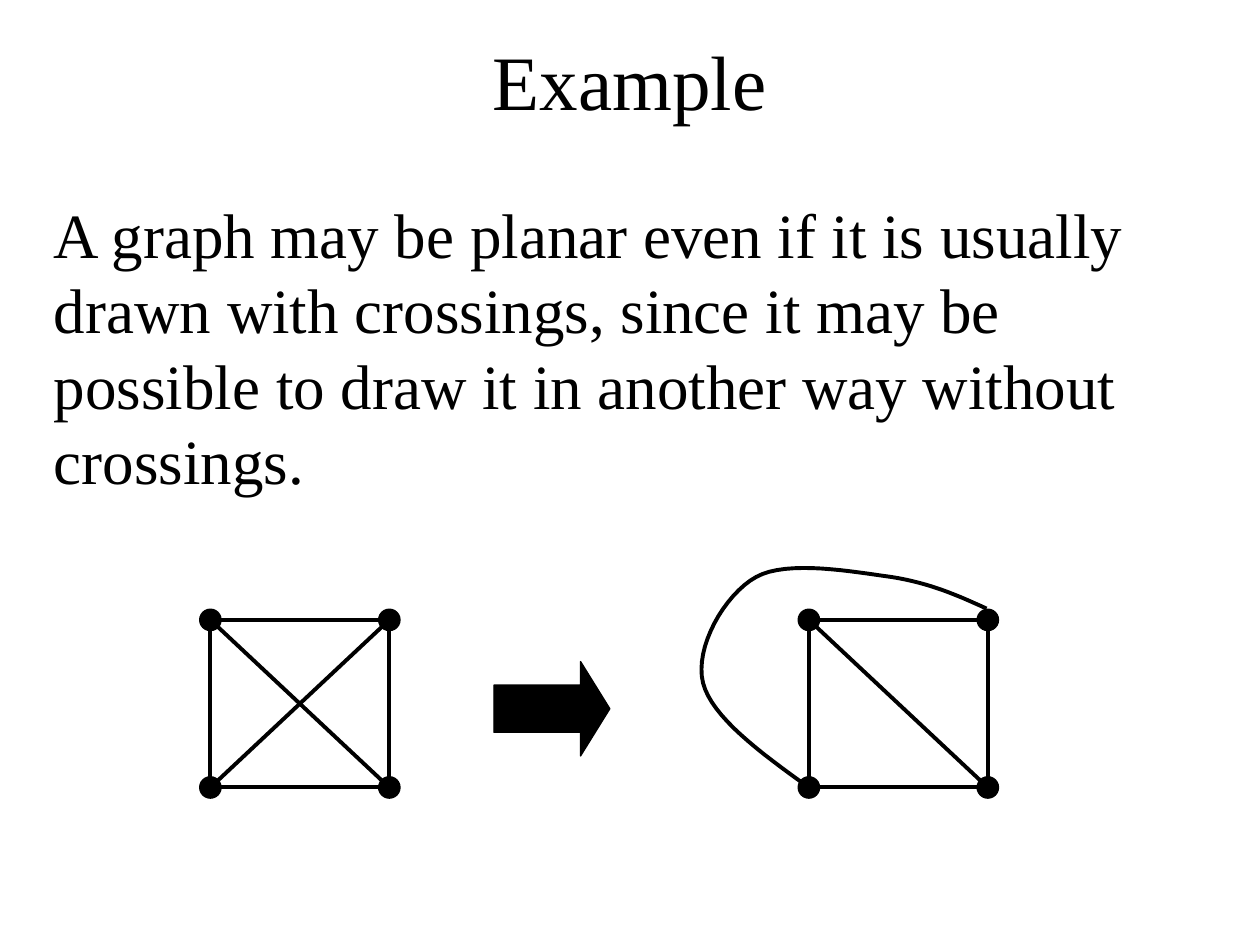
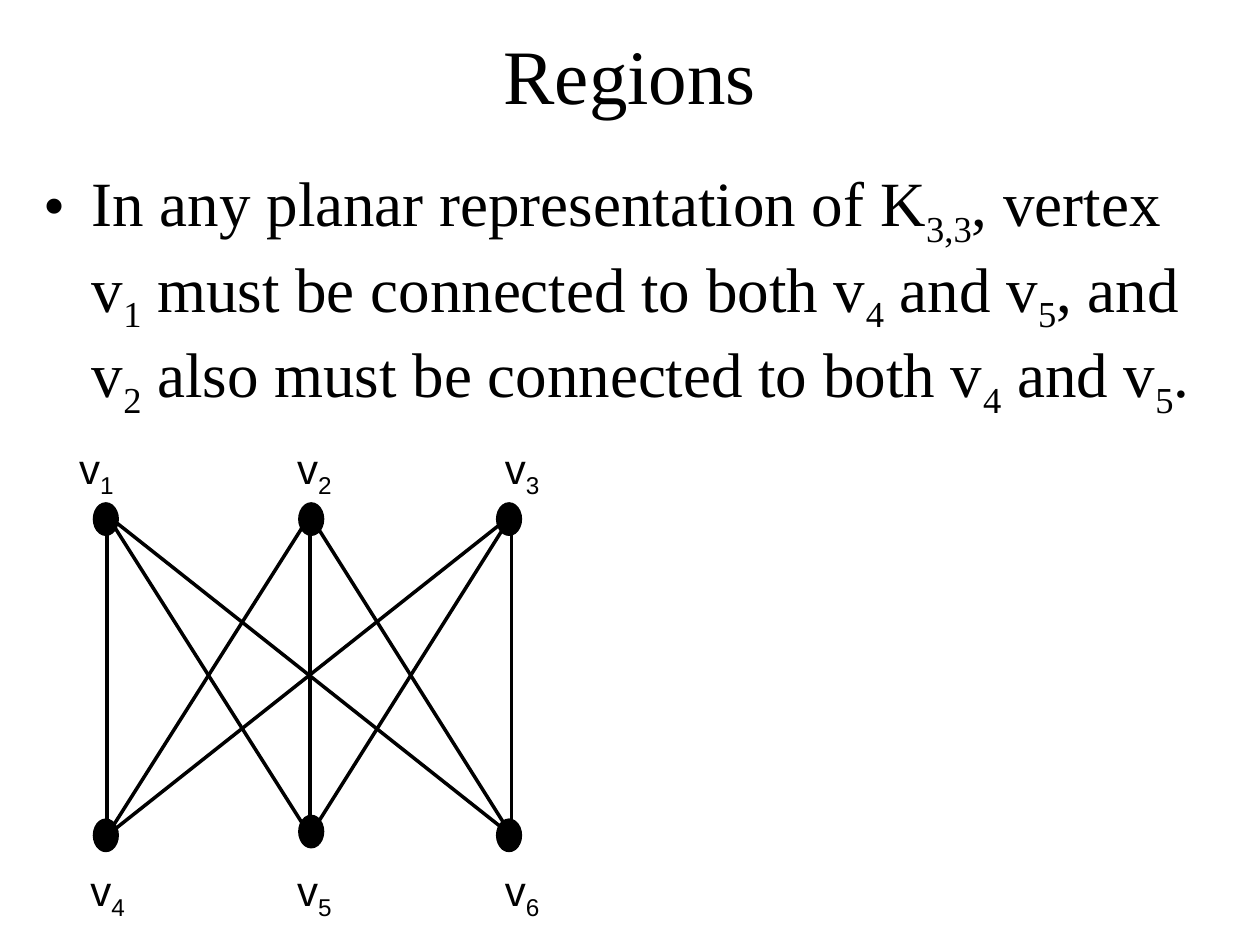
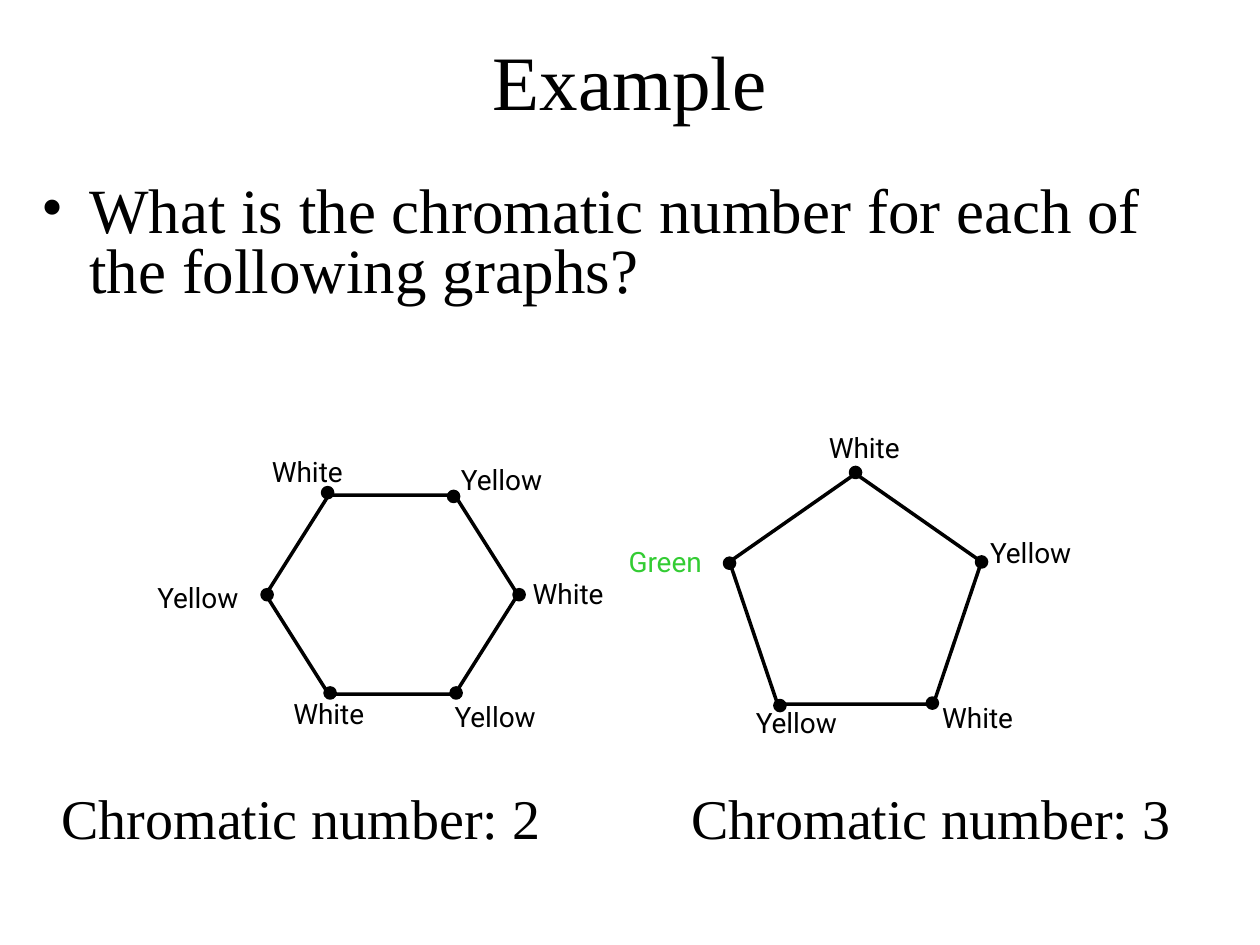
"""Build three slides about planar graphs, regions and graph colouring."""
from dataclasses import dataclass
from itertools import product

from lxml.etree import SubElement
from pptx import Presentation
from pptx.dml.color import RGBColor
from pptx.enum.shapes import MSO_CONNECTOR, MSO_SHAPE
from pptx.enum.text import MSO_ANCHOR, PP_ALIGN
from pptx.oxml.ns import qn
from pptx.util import Inches, Pt

COLORS = {"ink": "000000", "green": "33CC33"}
SERIF, SANS, LABEL = "Times New Roman", "Arial", "Roboto"
Point = tuple[float, float]


@dataclass
class Text:
    """A text box; pieces between bars are set as subscripts."""
    text: str
    x: float
    y: float
    w: float
    h: float
    size: float
    font: str = SERIF
    color: str = "ink"
    wrap: bool = True
    bullet: bool = False
    inset: float = 0.1
    spacing: float | None = None
    title: bool = False


@dataclass
class Shape:
    """A preset shape with its outline width and optional fill."""
    kind: MSO_SHAPE
    x: float
    y: float
    w: float
    h: float
    line: float
    filled: bool = False
    adjust: tuple[float, ...] = ()


def rgb(name: str) -> RGBColor:
    return RGBColor.from_string(COLORS[name])


def add_bullet(p) -> None:
    pPr = p._p.get_or_add_pPr()
    pPr.set("marL", str(Inches(0.38)))
    pPr.set("indent", str(Inches(-0.38)))
    clr = SubElement(pPr, qn("a:buClr"))
    SubElement(clr, qn("a:srgbClr")).set("val", COLORS["ink"])
    SubElement(pPr, qn("a:buFont")).set("typeface", SERIF)
    SubElement(pPr, qn("a:buChar")).set("char", "•")


def add_text(s, t: Text) -> None:
    sp = s.shapes.add_textbox(Inches(t.x), Inches(t.y), Inches(t.w), Inches(t.h))
    tf = sp.text_frame
    tf.word_wrap = t.wrap
    tf.margin_left = tf.margin_right = Inches(t.inset)
    p = tf.paragraphs[0]
    if t.title:
        tf.vertical_anchor = MSO_ANCHOR.MIDDLE
        p.alignment = PP_ALIGN.CENTER
    if t.bullet:
        add_bullet(p)
    if t.spacing:
        p.line_spacing = t.spacing
    for i, piece in enumerate(t.text.split("|")):
        if not piece:
            continue
        r = p.add_run()
        r.text = piece
        r.font.name, r.font.size = t.font, Pt(t.size)
        r.font.color.rgb = rgb(t.color)
        if i % 2:
            r._r.get_or_add_rPr().set("baseline", "-25000")


def add_title(s, text: str, h: float = 0.92) -> None:
    add_text(s, Text(text, 0.5, 0.17, 9, h, 44, title=True))


def style(sp, line: float, filled: bool = False) -> None:
    sp.shadow.inherit = False
    if filled:
        sp.fill.solid()
        sp.fill.fore_color.rgb = rgb("ink")
    else:
        sp.fill.background()
    sp.line.color.rgb = rgb("ink")
    sp.line.width = Pt(line)


def add_shape(s, d: Shape) -> None:
    sp = s.shapes.add_shape(d.kind, Inches(d.x), Inches(d.y), Inches(d.w), Inches(d.h))
    style(sp, d.line, d.filled)
    for i, value in enumerate(d.adjust):
        sp.adjustments[i] = value


def add_node(s, x: float, y: float, w: float, h: float, line: float) -> None:
    add_shape(s, Shape(MSO_SHAPE.OVAL, x, y, w, h, line, True))


def add_edge(s, start: Point, end: Point, width: float) -> None:
    cn = s.shapes.add_connector(MSO_CONNECTOR.STRAIGHT, *map(Inches, start + end))
    cn.line.color.rgb = rgb("ink")
    cn.line.width = Pt(width)
    SubElement(cn._element.spPr, qn("a:effectLst"))


def bezier(a: Point, b: Point, c: Point, d: Point, steps: int = 16) -> list[Point]:
    points = []
    for i in range(1, steps + 1):
        t = i / steps
        u = 1 - t
        weights = (u**3, 3 * u * u * t, 3 * u * t * t, t**3)
        points.append(tuple(sum(k * q[n] for k, q in zip(weights, (a, b, c, d)))
                            for n in (0, 1)))
    return points


def add_curve(s, controls: list[Point], width: float) -> None:
    points = [controls[0]]
    for i in range(0, len(controls) - 1, 3):
        points += bezier(*controls[i:i + 4])
    emu = [(Inches(x), Inches(y)) for x, y in points]
    builder = s.shapes.build_freeform(*emu[0], scale=1.0)
    builder.add_line_segments(emu[1:], close=False)
    style(builder.convert_to_shape(), width)


def add_square_graph(s, x: float, crossed: bool) -> None:
    y, w, h, node = 4.92, 1.42, 1.33, 0.17
    add_shape(s, Shape(MSO_SHAPE.RECTANGLE, x, y, w, h, 2.25))
    add_edge(s, (x, y), (x + w, y + h), 2.25)
    if crossed:
        add_edge(s, (x, y + h), (x + w, y), 2.25)
    for cx, cy in product((x, x + w), (y, y + h)):
        add_node(s, cx - node / 2, cy - node / 2, node, node, 0.75)


def planar_slide(s) -> None:
    add_title(s, "Example")
    add_square_graph(s, 1.67, True)
    add_square_graph(s, 6.42, False)
    add_curve(s, [(7.83, 4.83), (7.61, 4.73), (7.39, 4.63), (7.08, 4.58),
                  (6.78, 4.54), (6.25, 4.44), (6, 4.58),
                  (5.75, 4.72), (5.51, 5.14), (5.58, 5.42),
                  (5.65, 5.69), (6.03, 5.97), (6.42, 6.25)], 2.25)
    add_shape(s, Shape(MSO_SHAPE.RIGHT_ARROW, 3.92, 5.25, 0.92, 0.75, 0.75, True,
                       (0.5, 0.31)))
    add_text(s, Text("A graph may be planar even if it is usually drawn with crossings, "
                     "since it may be possible to draw it in another way without "
                     "crossings.", 0.33, 1.5, 9.25, 2.5, 36, spacing=Pt(43.2)))


def regions_slide(s) -> None:
    add_title(s, "Regions", 0.83)
    add_text(s, Text("In any planar representation of K|3,3|, vertex v|1| must be connected "
                     "to both v|4| and v|5|, and v|2| also must be connected to both "
                     "v|4| and v|5|.", 0.25, 1.25, 9.42, 2.5, 36,
                     bullet=True, spacing=Pt(49)))
    columns = (0.85, 2.46, 4.06)
    for top, bottom in product(columns, columns):
        add_edge(s, (top, 4.09), (bottom, 6.63), 2)
    node_xs = (0.75, 2.38, 3.95)
    rows = (((4, 4, 4), (0.53, 2.26, 3.91), 3.46),
            ((6.51, 6.48, 6.51), (0.62, 2.26, 3.91), 6.81))
    number = 1
    for node_ys, label_xs, label_y in rows:
        for node_x, node_y, label_x in zip(node_xs, node_ys, label_xs):
            add_node(s, node_x, node_y, 0.18, 0.24, 2)
            add_text(s, Text(f"v|{number}|", label_x, label_y, 0.6, 0.5, 24, SANS))
            number += 1


def coloring_slide(s) -> None:
    add_title(s, "Example")
    add_text(s, Text("What is the chromatic number for each of the following graphs?",
                     0.33, 1.42, 9.08, 1.25, 36, bullet=True, inset=0, spacing=0.8))
    add_shape(s, Shape(MSO_SHAPE.HEXAGON, 2.11, 3.93, 2, 1.58, 2, adjust=(0.316,)))
    add_shape(s, Shape(MSO_SHAPE.REGULAR_PENTAGON, 5.79, 3.76, 2, 1.83, 2))
    vertices = (
        (2.56, 3.87, "White", 2.06, 3.56), (3.56, 3.9, "Yellow", 3.56, 3.62),
        (4.08, 4.68, "White", 4.13, 4.53), (3.58, 5.46, "Yellow", 3.51, 5.5),
        (2.58, 5.46, "White", 2.23, 5.48), (2.08, 4.68, "Yellow", 1.15, 4.56),
        (6.75, 3.71, "White", 6.48, 3.37), (7.75, 4.42, "Yellow", 7.76, 4.2),
        (7.36, 5.54, "White", 7.38, 5.51), (6.15, 5.56, "Yellow", 5.9, 5.55),
        (5.75, 4.43, "Green", 4.89, 4.27),
    )
    widths = {"White": 0.8, "Yellow": 0.87, "Green": 0.84}
    for x, y, name, label_x, label_y in vertices:
        add_node(s, x, y, 0.08, 0.08, 2)
        add_text(s, Text(name, label_x, label_y, widths[name], 0.37, 16, LABEL,
                         "green" if name == "Green" else "ink", wrap=False))
    for x, number in ((0.39, 2), (5.39, 3)):
        add_text(s, Text(f"Chromatic number: {number}", x, 6.17, 4.3, 0.64, 32))


def main() -> None:
    prs = Presentation()
    prs.slide_width, prs.slide_height = Inches(10), Inches(7.5)
    for build in (planar_slide, regions_slide, coloring_slide):
        build(prs.slides.add_slide(prs.slide_layouts[6]))
    prs.save("out.pptx")


if __name__ == "__main__":
    main()
